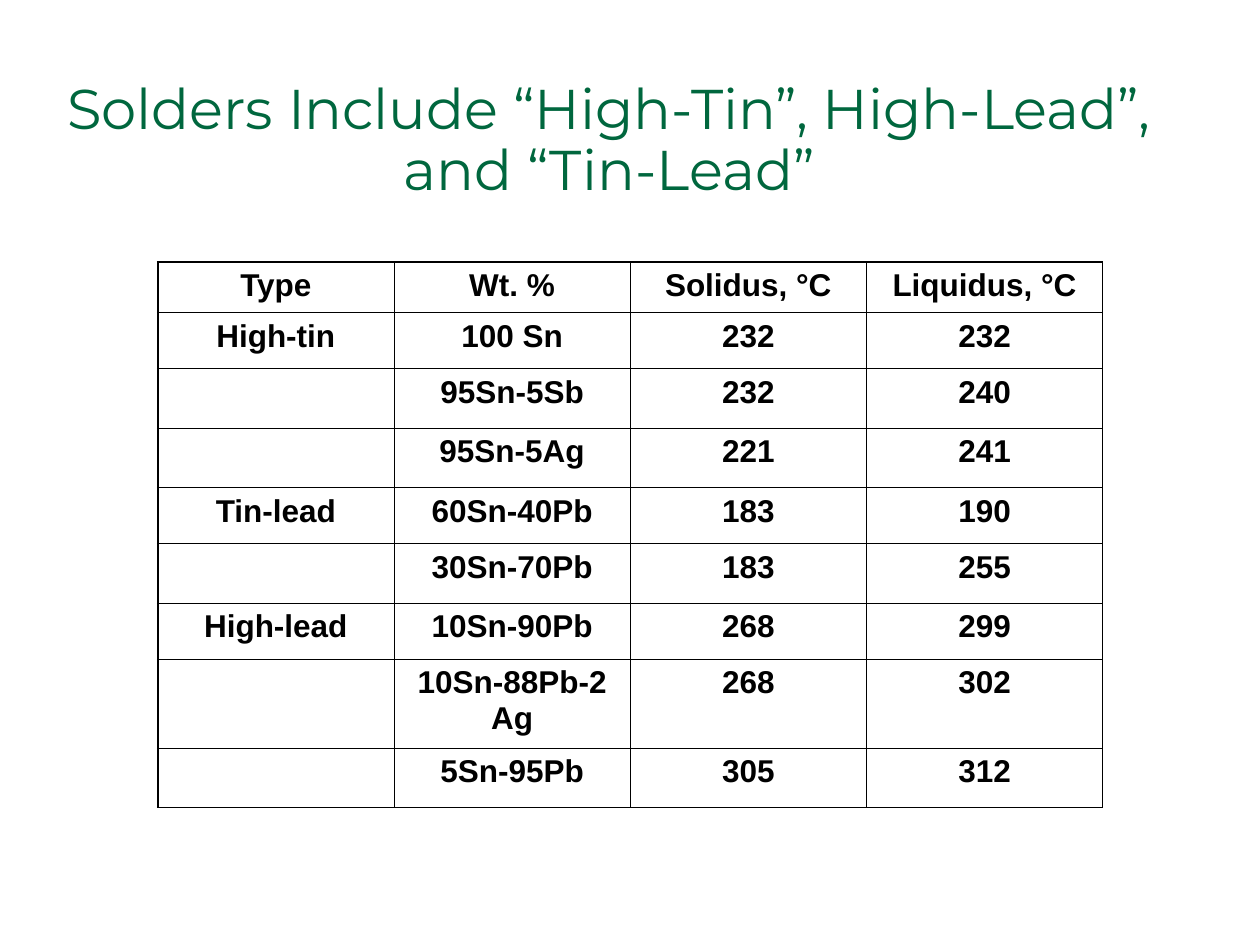
import pptx
import pptx.util
import pptx.dml.color
import pptx.enum.text
import lxml.etree
import pptx.oxml.ns

Cm, Pt = pptx.util.Cm, pptx.util.Pt
GREEN = pptx.dml.color.RGBColor(0x00, 0x67, 0x3E)
BLACK = pptx.dml.color.RGBColor(0x00, 0x00, 0x00)
CENTER = pptx.enum.text.PP_ALIGN.CENTER
THIN, THICK = Pt(0.45), Pt(1.08)


def add_border(cell, side, width):
    qn = pptx.oxml.ns.qn
    line = lxml.etree.SubElement(cell._tc.get_or_add_tcPr(), qn(f"a:ln{side}"), w=str(width))
    fill = lxml.etree.SubElement(line, qn("a:solidFill"))
    lxml.etree.SubElement(fill, qn("a:srgbClr"), val=str(BLACK))


deck = pptx.Presentation()
deck.slide_width, deck.slide_height = Cm(25.4), Cm(19.05)
slide = deck.slides.add_slide(deck.slide_layouts[6])

# Title
title = slide.shapes.add_textbox(Cm(0.85), Cm(1.27), Cm(22.86), Cm(3.18)).text_frame
title.word_wrap = True
title.vertical_anchor = pptx.enum.text.MSO_ANCHOR.MIDDLE
heading = title.paragraphs[0]
heading.text = "Solders Include “High-Tin”, High-Lead”, and “Tin-Lead”"
heading.alignment = CENTER
heading.line_spacing = 0.9
heading.font.name = "Montserrat"
heading.font.size = Pt(32)
heading.font.color.rgb = GREEN

# Solder table
solders = [
    ("Type", "Wt. %", "Solidus, °C", "Liquidus, °C"),
    ("High-tin", "100 Sn", "232", "232"),
    ("", "95Sn-5Sb", "232", "240"),
    ("", "95Sn-5Ag", "221", "241"),
    ("Tin-lead", "60Sn-40Pb", "183", "190"),
    ("", "30Sn-70Pb", "183", "255"),
    ("High-lead", "10Sn-90Pb", "268", "299"),
    ("", "10Sn-88Pb-2Ag", "268", "302"),
    ("", "5Sn-95Pb", "305", "312"),
]
row_heights = [1.02, 1.13, 1.2, 1.2, 1.13, 1.2, 1.13, 1.79, 1.2]
last_row, last_column = len(solders) - 1, len(solders[0]) - 1
table = slide.shapes.add_table(
    len(solders), len(solders[0]), Cm(3.18), Cm(5.28), Cm(19.05), Cm(sum(row_heights))
).table
table.first_row = table.horz_banding = False

for column in table.columns:
    column.width = Cm(19.05 / 4)

for r, solder in enumerate(solders):
    table.rows[r].height = Cm(row_heights[r])
    for c, value in enumerate(solder):
        cell = table.cell(r, c)
        # Thick outer frame, thin inner grid
        outer_sides = {"L": c == 0, "R": c == last_column, "T": r == 0, "B": r == last_row}
        for side, is_outer in outer_sides.items():
            add_border(cell, side, THICK if is_outer else THIN)
        cell.fill.background()
        entry = cell.text_frame.paragraphs[0]
        entry.text = value
        entry.alignment = CENTER
        entry.font.name = "Arial"
        entry.font.size = Pt(18)
        entry.font.bold = True
        entry.font.color.rgb = BLACK

deck.save("out.pptx")
